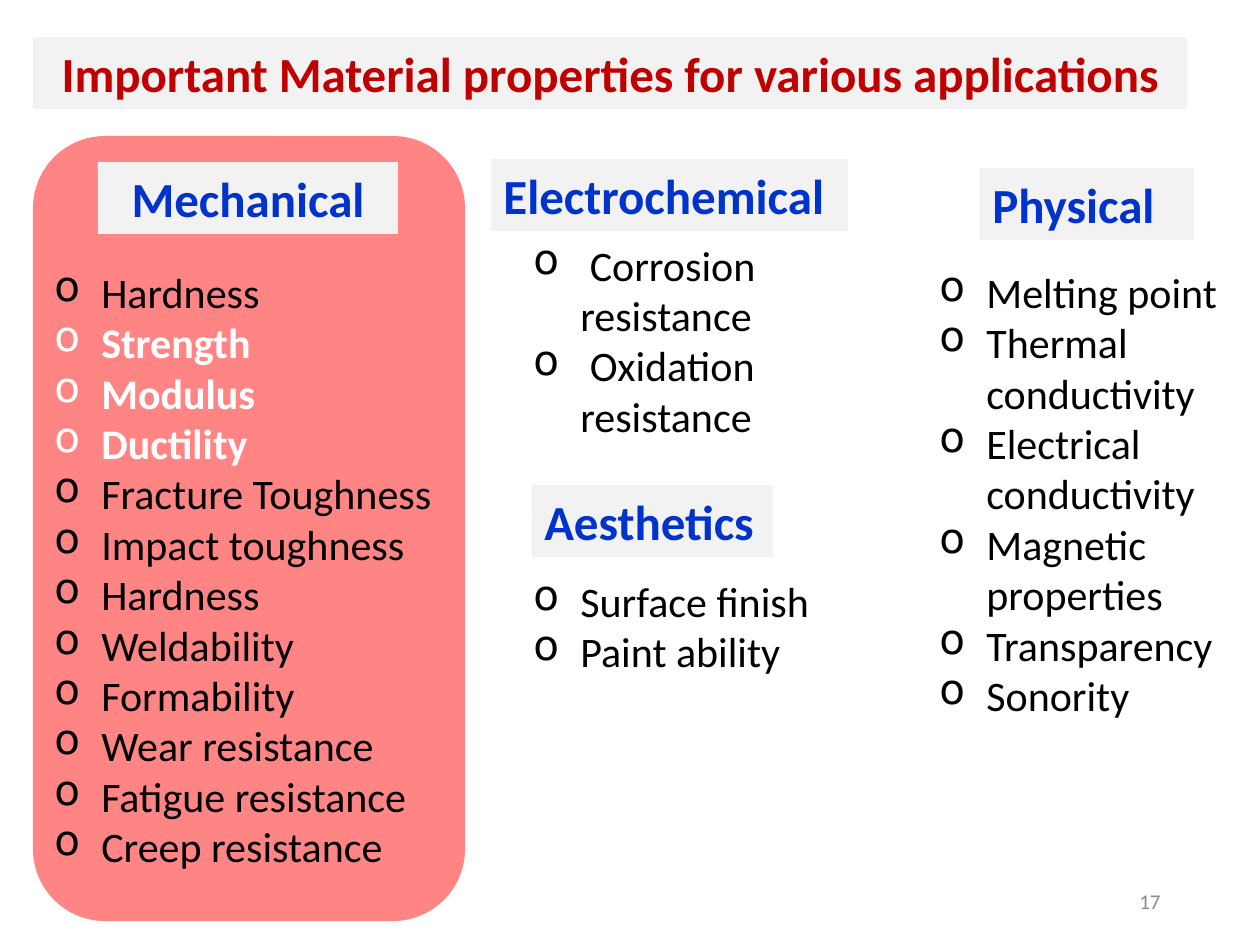
"""Build a slide listing material properties by category."""
from lxml import etree
from pptx import Presentation
from pptx.dml.color import RGBColor
from pptx.enum.shapes import MSO_SHAPE
from pptx.enum.text import MSO_ANCHOR, PP_ALIGN
from pptx.oxml.ns import qn
from pptx.util import Emu, Pt

RECTANGLE = MSO_SHAPE.RECTANGLE
ROUNDED = MSO_SHAPE.ROUNDED_RECTANGLE
LEFT, CENTER, RIGHT = PP_ALIGN.LEFT, PP_ALIGN.CENTER, PP_ALIGN.RIGHT
TOP, MIDDLE = MSO_ANCHOR.TOP, MSO_ANCHOR.MIDDLE

PX_PER_INCH = 126
FONT = "Calibri"
INDENT = 47
HEADING_HEIGHT = 72
COLORS = {
    "panel": "FF8585", "band": "F2F2F2", "title": "C00000", "heading": "0033CC",
    "text": "000000", "highlight": "FFFFFF", "number": "8C8C8C",
}

PANEL = (33, 136, 432, 785)
TITLE = ("Important Material properties for various applications", (33, 37, 1154))
HIGHLIGHTED = {"Strength", "Modulus", "Ductility"}
CATEGORIES = [
    {"heading": "Mechanical", "band": (98, 162, 300), "align": CENTER,
     "list": (42, 260, 529, 624),
     "items": ["Hardness", "Strength", "Modulus", "Ductility", "Fracture Toughness",
               "Impact toughness", "Hardness", "Weldability", "Formability",
               "Wear resistance", "Fatigue resistance", "Creep resistance"]},
    {"heading": "Electrochemical", "band": (491, 159, 357), "align": LEFT,
     "list": (521, 233, 367, 217),
     "items": [" Corrosion resistance", " Oxidation resistance"]},
    {"heading": "Physical", "band": (980, 168, 214), "align": LEFT,
     "list": (927, 260, 319, 471),
     "items": ["Melting point", "Thermal conductivity", "Electrical conductivity",
               "Magnetic properties", "Transparency", "Sonority"]},
    {"heading": "Aesthetics", "band": (532, 485, 241), "align": LEFT,
     "list": (521, 569, 367, 115),
     "items": ["Surface finish", "Paint ability"]},
]
PAGE_NUMBER = ("17", (890, 876, 283, 50))


def px(length):
    return Emu(round(length * 914400 / PX_PER_INCH))


def color(name):
    return RGBColor.from_string(COLORS[name])


def add_block(slide, preset, box, fill):
    shape = slide.shapes.add_shape(preset, *map(px, box))
    shape.shadow.inherit = False
    shape.fill.solid()
    shape.fill.fore_color.rgb = color(fill)
    shape.line.fill.background()
    return shape


def write(paragraph, text, size, color_name, bold=False, align=LEFT):
    paragraph.text = text
    paragraph.alignment = align
    font = paragraph.font
    font.name, font.size, font.bold = FONT, Pt(size), bold
    font.color.rgb = color(color_name)


def add_band(slide, text, place, color_name, align):
    shape = add_block(slide, RECTANGLE, (*place, HEADING_HEIGHT), "band")
    frame = shape.text_frame
    frame.word_wrap = True
    frame.vertical_anchor = TOP
    write(frame.paragraphs[0], text, 28, color_name, True, align)


def add_text_frame(slide, box, anchor=TOP):
    frame = slide.shapes.add_textbox(*map(px, box)).text_frame
    frame.word_wrap = True
    frame.vertical_anchor = anchor
    return frame


def add_list(slide, items, box):
    frame = add_text_frame(slide, box)
    for index, item in enumerate(items):
        paragraph = frame.add_paragraph() if index else frame.paragraphs[0]
        properties = paragraph._p.get_or_add_pPr()
        properties.set("marL", str(px(INDENT)))
        properties.set("indent", str(-px(INDENT)))
        etree.SubElement(properties, qn("a:buChar"), char="o")
        strong = item in HIGHLIGHTED
        write(paragraph, item, 24, "highlight" if strong else "text", strong)


def main():
    presentation = Presentation()
    presentation.slide_width, presentation.slide_height = px(1260), px(945)
    slide = presentation.slides.add_slide(presentation.slide_layouts[6])

    add_block(slide, ROUNDED, PANEL, "panel")
    add_band(slide, *TITLE, "title", CENTER)
    for category in CATEGORIES:
        add_list(slide, category["items"], category["list"])
        add_band(slide, category["heading"], category["band"], "heading", category["align"])

    number, box = PAGE_NUMBER
    frame = add_text_frame(slide, box, MIDDLE)
    write(frame.paragraphs[0], number, 12, "number", align=RIGHT)
    presentation.save("out.pptx")


if __name__ == "__main__":
    main()
